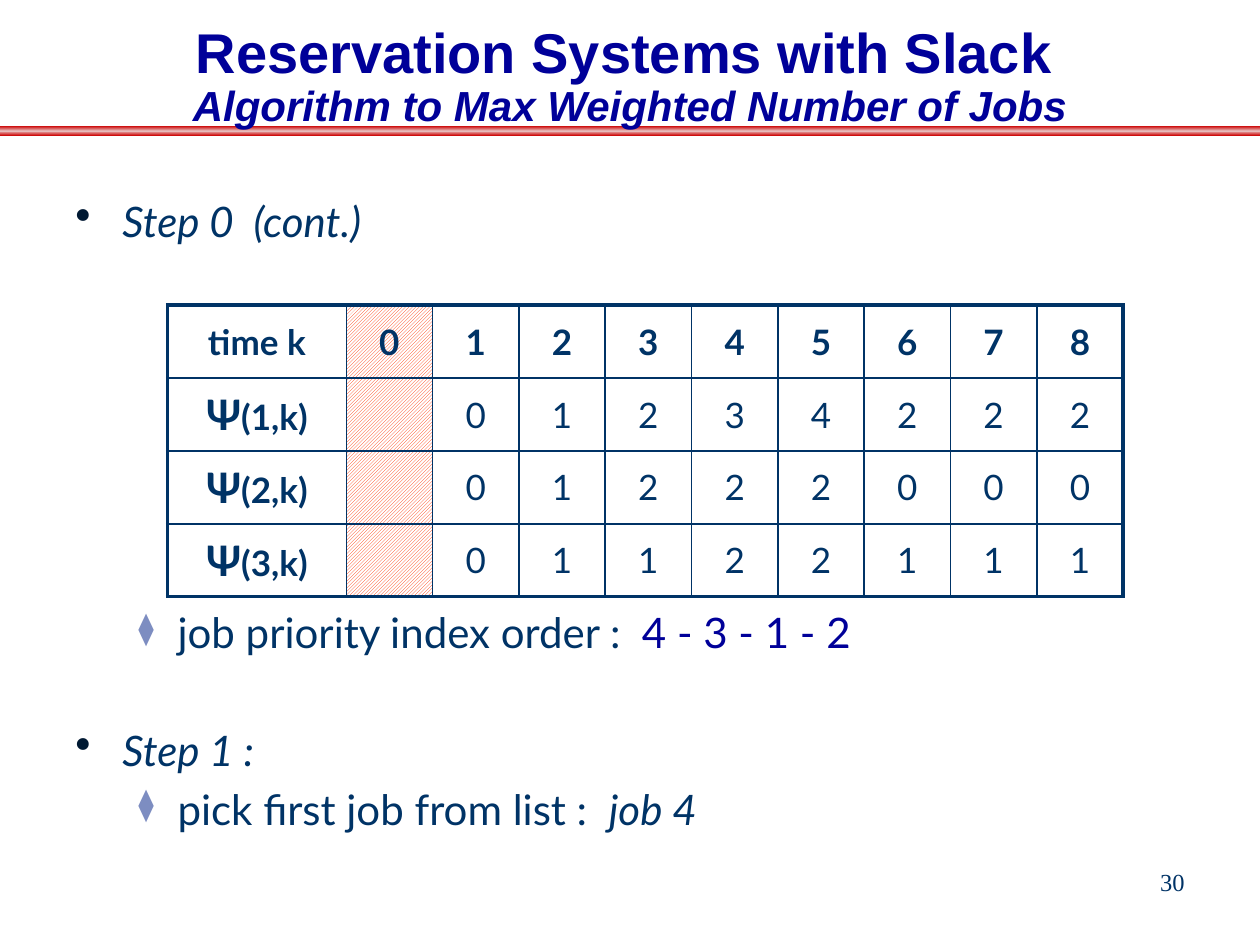
from lxml import etree
from pptx import Presentation
from pptx.dml.color import RGBColor
from pptx.enum.dml import MSO_PATTERN
from pptx.enum.shapes import MSO_SHAPE
from pptx.enum.text import MSO_ANCHOR, PP_ALIGN
from pptx.oxml import parse_xml
from pptx.oxml.ns import nsdecls, qn
from pptx.util import Cm, Pt

HUES = {
    "ink": "003366", "title": "000099", "dot": "001933", "gem": "7D8DC1",
    "bar": "CC0000", "glow": "E7BCBC", "hatch": "FF3300", "paper": "FFFFFF",
}
PITCH, LINE = 33.6, 28.8  # body line advance and bare line height, in points


def rgb(name):
    return RGBColor.from_string(HUES[name])


def write(para, text, size=24, font="Lato", hue="ink", bold=False, italic=False):
    run = para.add_run()
    run.text = text
    face = run.font
    face.size, face.name = Pt(size), font
    face.bold, face.italic = bold, italic
    face.color.rgb = rgb(hue)


def add_node(parent, tag, **attrs):
    return etree.SubElement(parent, qn(tag), attrs)


def bullet(para, char, hue, scale, left, hang):
    props = para._p.get_or_add_pPr()
    props.set("marL", str(Cm(left)))
    props.set("indent", str(-Cm(hang)))
    add_node(add_node(props, "a:buClr"), "a:srgbClr", val=HUES[hue])
    add_node(props, "a:buSzPct", val=str(scale * 1000))
    add_node(props, "a:buChar", char=char)


class Page:
    """Holds the current slide and the style shared by its elements."""

    thin, thick = Pt(1), Pt(2.25)

    def __init__(self, slide):
        self.slide = slide

    def bar(self, left, top, width, height):
        shape = self.slide.shapes.add_shape(
            MSO_SHAPE.ROUNDED_RECTANGLE, Cm(left), Cm(top), Cm(width), Cm(height))
        shape.adjustments[0] = 0
        shape.shadow.inherit = False
        shape.line.fill.background()
        stops = "".join(
            f'<a:gs pos="{pos * 1000}"><a:srgbClr val="{HUES[hue]}"/></a:gs>'
            for pos, hue in ((0, "bar"), (50, "glow"), (100, "bar")))
        fill = parse_xml(
            f'<a:gradFill {nsdecls("a")} rotWithShape="1"><a:gsLst>{stops}</a:gsLst>'
            '<a:lin ang="5400000" scaled="0"/></a:gradFill>')
        shape._element.spPr.find(qn("a:prstGeom")).addnext(fill)

    def box(self, left, top, width, height, anchor=MSO_ANCHOR.TOP):
        frame = self.slide.shapes.add_textbox(
            Cm(left), Cm(top), Cm(width), Cm(height)).text_frame
        frame.word_wrap = True
        frame.vertical_anchor = anchor
        return frame

    def title(self, head, sub):
        para = self.box(1.9, 0.42, 21.6, 2.34, MSO_ANCHOR.BOTTOM).paragraphs[0]
        para.alignment, para.line_spacing = PP_ALIGN.CENTER, 0.9
        look = {"font": "Arial", "hue": "title", "bold": True}
        write(para, head, size=32, **look)
        write(para, " ", italic=True, **look)
        para.add_line_break()
        write(para, sub, italic=True, **look)

    def points(self, items):
        """Items are (level, lines down from the item above, runs)."""
        frame = self.box(1.27, 3.81, 23.5, 14.6)
        marks = (("•", "dot", 108, 0.95, 0.95), ("⧫", "gem", 75, 2.06, 0.79))
        for level, lines, runs in items:
            para = frame.add_paragraph() if lines else frame.paragraphs[0]
            para.level = level
            para.space_before = Pt(lines * PITCH - LINE if lines else 0)
            bullet(para, *marks[level])
            for text, look in runs:
                write(para, text, **look)

    def number(self, text):
        para = self.box(18.21, 17.35, 5.92, 1.32).paragraphs[0]
        para.alignment = PP_ALIGN.RIGHT
        write(para, text, size=14, font="Times New Roman")

    def edges(self, cell, sides):
        """Draw the borders; sides maps L, R, T and B to true for a thick line."""
        props = cell._tc.get_or_add_tcPr()
        for spot, (side, heavy) in enumerate(sides.items()):
            width = self.thick if heavy else self.thin
            props.insert(spot, parse_xml(
                f'<a:ln{side} {nsdecls("a")} w="{width}"><a:solidFill>'
                f'<a:srgbClr val="{HUES["ink"]}"/></a:solidFill></a:ln{side}>'))

    def table(self, rows):
        high, wide = len(rows), len(rows[0])
        first, step, tall = 3.6, 1.74, 1.47
        grid = self.slide.shapes.add_table(
            high, wide, Cm(3.38), Cm(6.15),
            Cm(first + step * (wide - 1)), Cm(tall * high)).table
        for c, col in enumerate(grid.columns):
            col.width = Cm(step if c else first)
        for r, row in enumerate(rows):
            grid.rows[r].height = Cm(tall)
            for c, text in enumerate(row):
                cell = grid.cell(r, c)
                cell.vertical_anchor = MSO_ANCHOR.MIDDLE
                if c == 1:
                    cell.fill.patterned()
                    cell.fill.pattern = MSO_PATTERN.DARK_UPWARD_DIAGONAL
                    cell.fill.fore_color.rgb = rgb("hatch")
                    cell.fill.back_color.rgb = rgb("paper")
                else:
                    cell.fill.background()
                self.edges(cell, {"L": c == 0, "R": c == wide - 1,
                                  "T": r == 0, "B": r == high - 1})
                para = cell.text_frame.paragraphs[0]
                para.alignment = PP_ALIGN.CENTER
                if text.startswith("Ψ"):
                    write(para, "Ψ", bold=True)
                    text = text[1:]
                if text:
                    write(para, text, size=20, bold=r == 0 or c == 0)


def main():
    deck = Presentation()
    deck.slide_width, deck.slide_height = Cm(25.4), Cm(19.05)
    page = Page(deck.slides.add_slide(deck.slide_layouts[6]))
    page.bar(0, 2.54, 25.4, 0.2)
    page.number("30")
    slant = {"italic": True}
    page.points([
        (0, 0, [("Step 0  (cont.)", slant)]),
        (1, 7, [("job priority index order :  ", {}),
                ("4 - 3 - 1 - 2", {"hue": "title"})]),
        (0, 2, [("Step 1 :", slant)]),
        (1, 1, [("pick first job from list :  ", {}), ("job 4", slant)]),
    ])
    page.title("Reservation Systems with Slack",
               "Algorithm to Max Weighted Number of Jobs")
    counts = ("01234222", "01222000", "01122111")
    page.table([["time k", *"012345678"]] + [
        [f"Ψ({job},k)", "", *row] for job, row in enumerate(counts, 1)])
    deck.save("out.pptx")


if __name__ == "__main__":
    main()
